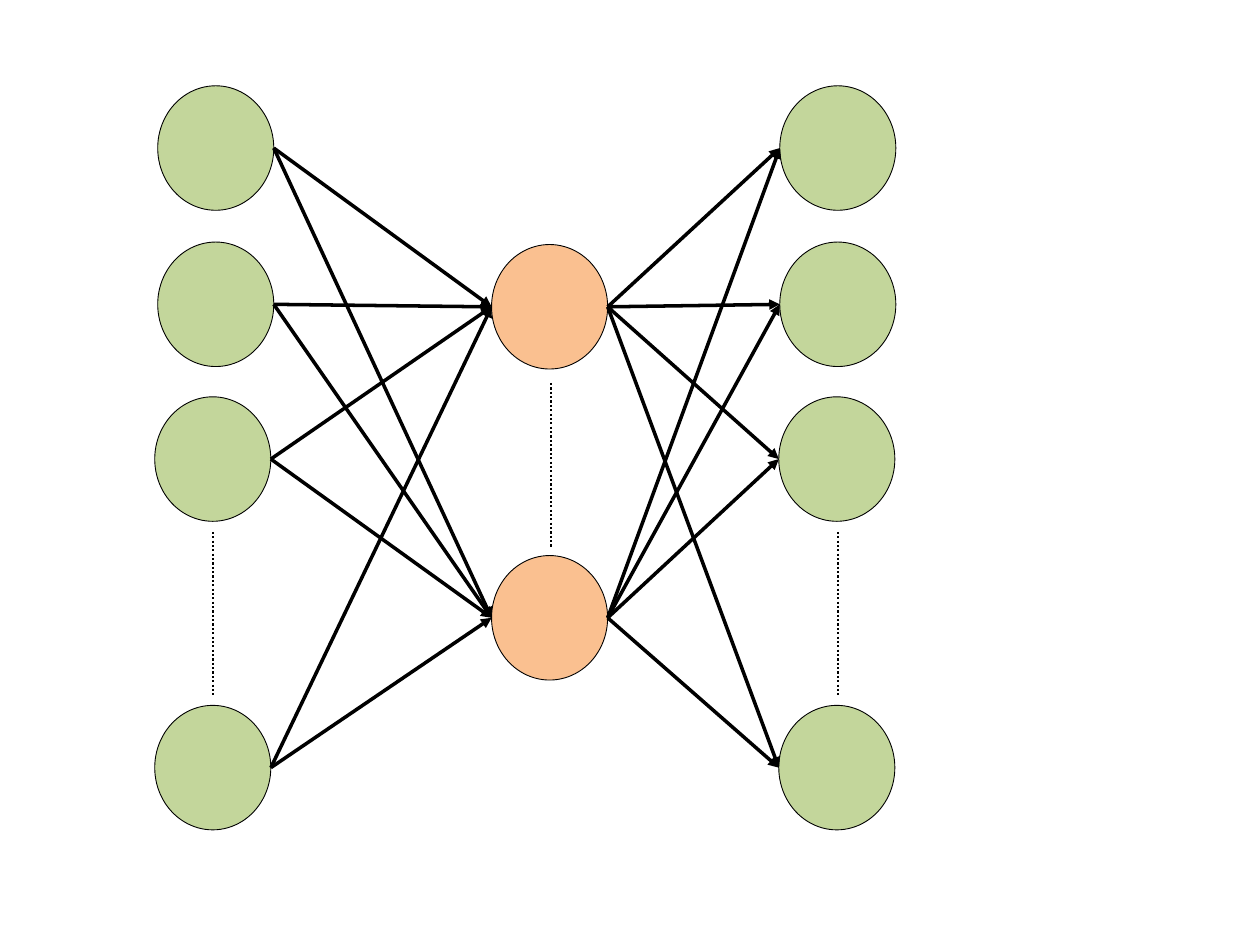
import itertools

import pptx
import pptx.dml.color
import pptx.enum.dml
import pptx.enum.shapes
import pptx.oxml
import pptx.oxml.ns
import pptx.util
from pptx.util import Cm, Pt

NODE_WIDTH, NODE_HEIGHT = 2.34, 2.51
DOTS_LENGTH = 3.3
GREEN, ORANGE, BLACK = "C3D69B", "FAC090", "000000"

# Left and top of each node, in centimetres
INPUT_NODES = [(3.18, 1.73), (3.18, 4.88), (3.12, 8.0), (3.12, 14.22)]
HIDDEN_NODES = [(9.91, 4.93), (9.91, 11.2)]
OUTPUT_NODES = [(15.72, 1.73), (15.72, 4.88), (15.7, 8.0), (15.7, 14.22)]
# Horizontal place and top of each dotted line
DOTTED_LINES = [(4.29, 10.72), (16.89, 10.72), (11.1, 7.72)]


def color(hex_string):
    return pptx.dml.color.RGBColor.from_string(hex_string)


class NetworkDiagram:
    """Draws the nodes and links of a network on one slide."""

    outline_width = Pt(0.5)
    arrow_width = Pt(2)
    dots_width = Pt(1.25)

    def __init__(self, slide):
        self.slide = slide

    def node(self, left, top, fill):
        shape = self.slide.shapes.add_shape(
            pptx.enum.shapes.MSO_SHAPE.OVAL,
            Cm(left), Cm(top), Cm(NODE_WIDTH), Cm(NODE_HEIGHT))
        shape.shadow.inherit = False
        shape.fill.solid()
        shape.fill.fore_color.rgb = color(fill)
        shape.line.color.rgb = color(BLACK)
        shape.line.width = self.outline_width

    def line(self, start, end, width):
        connector = self.slide.shapes.add_connector(
            pptx.enum.shapes.MSO_CONNECTOR.STRAIGHT,
            *(Cm(length) for length in (*start, *end)))
        connector.line.color.rgb = color(BLACK)
        connector.line.width = width
        properties = connector._element.spPr
        properties.append(pptx.oxml.parse_xml(
            f"<a:effectLst {pptx.oxml.ns.nsdecls('a')}/>"))
        return connector

    def arrow(self, source, target):
        """Link the right side of one node to the left side of another."""
        start = source[0] + NODE_WIDTH, source[1] + NODE_HEIGHT / 2
        end = target[0], target[1] + NODE_HEIGHT / 2
        connector = self.line(start, end, self.arrow_width)
        connector.line._get_or_add_ln().append(pptx.oxml.parse_xml(
            f"<a:tailEnd {pptx.oxml.ns.nsdecls('a')} type='triangle'/>"))

    def dots(self, x, top):
        connector = self.line((x, top), (x, top + DOTS_LENGTH), self.dots_width)
        connector.line.dash_style = pptx.enum.dml.MSO_LINE.ROUND_DOT


def main():
    presentation = pptx.Presentation()
    presentation.slide_width, presentation.slide_height = Cm(25.4), Cm(19.05)
    blank_layout = presentation.slide_layouts[6]
    diagram = NetworkDiagram(presentation.slides.add_slide(blank_layout))

    layers = [(INPUT_NODES, GREEN), (HIDDEN_NODES, ORANGE), (OUTPUT_NODES, GREEN)]
    for nodes, fill in layers:
        for left, top in nodes:
            diagram.node(left, top, fill)

    for (sources, _), (targets, _) in zip(layers, layers[1:]):
        for source, target in itertools.product(sources, targets):
            diagram.arrow(source, target)

    for x, top in DOTTED_LINES:
        diagram.dots(x, top)

    presentation.save("out.pptx")


if __name__ == "__main__":
    main()
